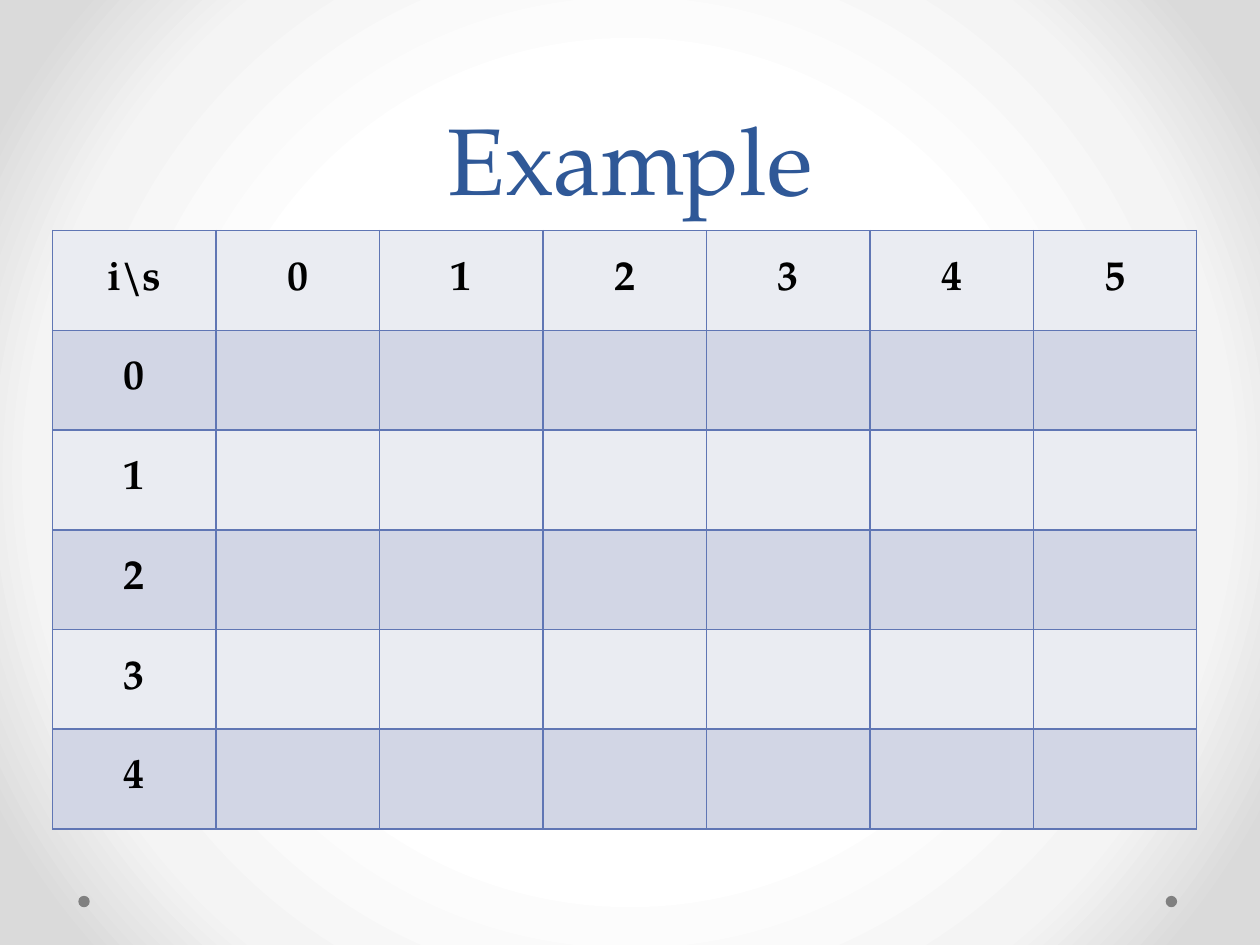
import dataclasses

import pptx
import pptx.dml.color
import pptx.enum.shapes
import pptx.enum.text
import pptx.oxml
import pptx.oxml.ns
import pptx.util

Cm = pptx.util.Cm
Pt = pptx.util.Pt
FONT = "TeX Gyre Pagella"
HUES = {
    "title": "2F5897", "text": "000000", "line": "6076B4", "dot": "808080",
    "light": "EAECF2", "dark": "D2D6E5",
    "glow": "FFFFFF", "mist": "F4F4F4", "edge": "DADADA",
}


@dataclasses.dataclass
class Dot:
    left: float
    top: float = 18.06
    size: float = 0.23


@dataclasses.dataclass
class Style:
    size: float
    hue: str
    bold: bool = False


def tint(name: str) -> pptx.dml.color.RGBColor:
    return pptx.dml.color.RGBColor.from_string(HUES[name])


def write(frame, text: str, style: Style) -> None:
    frame.text = text
    para = frame.paragraphs[0]
    para.alignment = pptx.enum.text.PP_ALIGN.CENTER
    for run in para.runs:
        run.font.name = FONT
        run.font.size = Pt(style.size)
        run.font.bold = style.bold
        run.font.color.rgb = tint(style.hue)


def shade(slide, stops: dict[str, int]) -> None:
    marks = "".join(
        f'<a:gs pos="{pos * 1000}"><a:srgbClr val="{HUES[name]}"/></a:gs>'
        for name, pos in stops.items())
    back = pptx.oxml.parse_xml(
        f'<p:bg {pptx.oxml.ns.nsdecls("p", "a")}><p:bgPr>'
        f'<a:gradFill rotWithShape="1"><a:gsLst>{marks}</a:gsLst>'
        '<a:path path="circle">'
        '<a:fillToRect l="50000" t="50000" r="50000" b="50000"/></a:path>'
        '</a:gradFill><a:effectLst/></p:bgPr></p:bg>')
    slide.element.cSld.insert(0, back)


def spot(slide, dot: Dot) -> None:
    shape = slide.shapes.add_shape(
        pptx.enum.shapes.MSO_SHAPE.OVAL,
        Cm(dot.left), Cm(dot.top), Cm(dot.size), Cm(dot.size))
    shape.shadow.inherit = False
    shape.fill.solid()
    shape.fill.fore_color.rgb = tint("dot")
    shape.line.fill.background()


def frame(cell) -> None:
    props = cell._tc.get_or_add_tcPr()
    for spot, side in enumerate("LRTB"):
        props.insert(spot, pptx.oxml.parse_xml(
            f'<a:ln{side} {pptx.oxml.ns.nsdecls("a")} w="{Pt(1)}"><a:solidFill>'
            f'<a:srgbClr val="{HUES["line"]}"/></a:solidFill></a:ln{side}>'))


deck = pptx.Presentation()
deck.slide_width, deck.slide_height = Cm(25.4), Cm(19.05)
slide = deck.slides.add_slide(deck.slide_layouts[6])

# Background and corner dots
shade(slide, {"glow": 50, "mist": 76, "edge": 92})
for dot in (Dot(23.5), Dot(1.58)):
    spot(slide, dot)

# Title
title = slide.shapes.add_textbox(Cm(1.27), 0, Cm(22.86), Cm(4.45)).text_frame
title.word_wrap = True
title.vertical_anchor = pptx.enum.text.MSO_ANCHOR.BOTTOM
write(title, "Example", Style(54, "title"))
title.paragraphs[0].line_spacing = Pt(58)

# Table: numbered heads along the top row and the left column
ROWS, COLS = 6, 7
grid = slide.shapes.add_table(
    ROWS, COLS, Cm(1.06), Cm(4.65), Cm(23.07), Cm(12.06)).table
grid.first_row = grid.horz_banding = False
head = Style(24, "text", bold=True)
for row in range(ROWS):
    for col in range(COLS):
        cell = grid.cell(row, col)
        cell.fill.solid()
        cell.fill.fore_color.rgb = tint("dark" if row % 2 else "light")
        cell.vertical_anchor = pptx.enum.text.MSO_ANCHOR.MIDDLE
        frame(cell)
        if row == 0 or col == 0:
            label = str(row + col - 1) if row + col else "i\\s"
            write(cell.text_frame, label, head)

deck.save("out.pptx")
